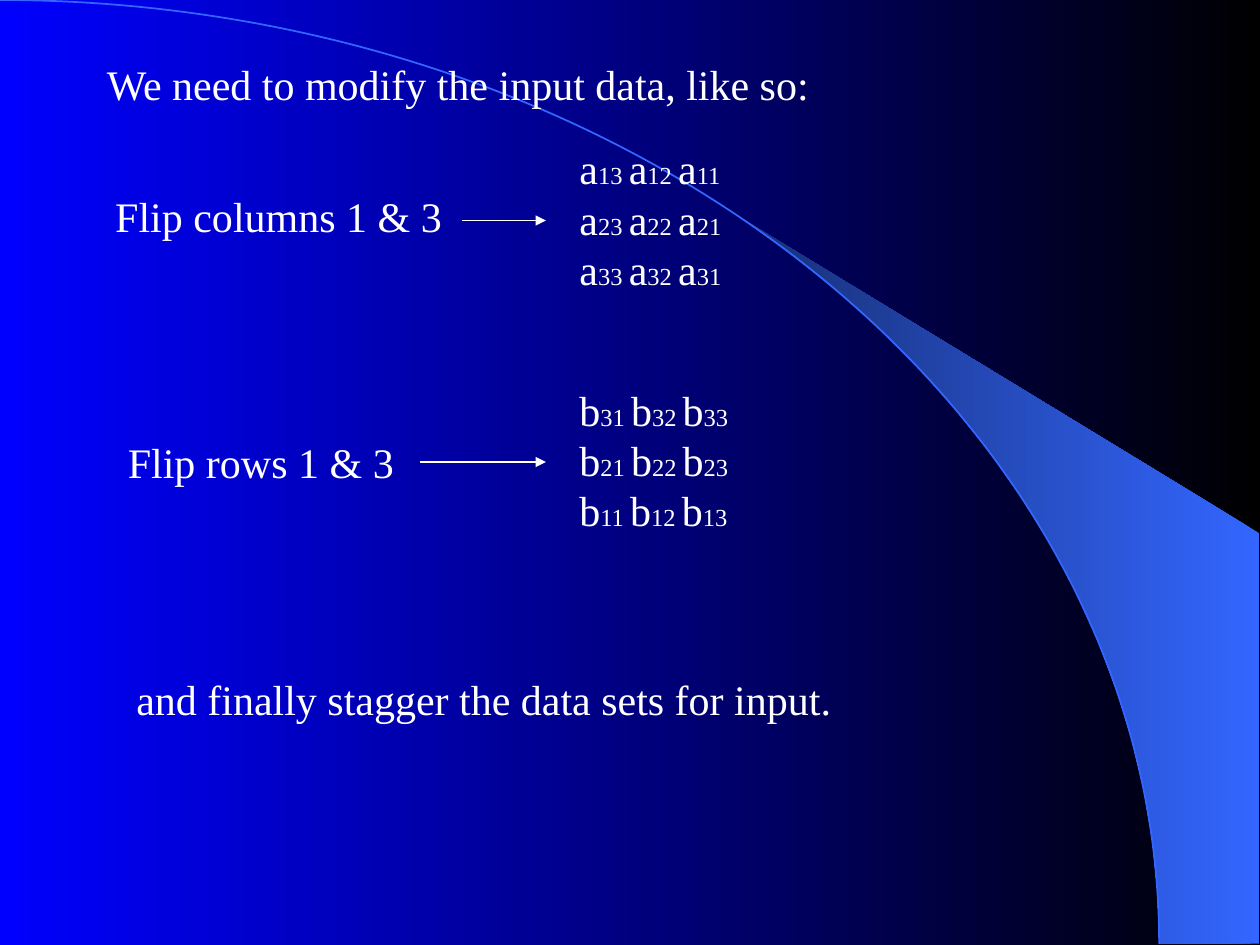
from dataclasses import dataclass
from math import cos, radians, sin

from lxml.etree import SubElement
from pptx import Presentation
from pptx.dml.color import RGBColor as Rgb
from pptx.enum.shapes import MSO_CONNECTOR as Connector, MSO_SHAPE as Shape
from pptx.enum.text import MSO_AUTO_SIZE as AutoSize
from pptx.oxml.ns import qn
from pptx.util import Inches, Pt


@dataclass(frozen=True)
class Theme:
    font: str = "Times New Roman"
    text: str = "FFFFFF"
    night: str = "000000"
    blue: str = "0000FF"
    accent: str = "3366FF"
    accent_dark: str = "172F75"
    body: float = 24
    index: float = 14
    arrow: float = 0.75
    arc: float = 1


THEME = Theme()
WIDTH, HEIGHT = Inches(10), Inches(7.5)
COLUMN, ROW = WIDTH / 120, HEIGHT / 90  # square grid cells


def grid(left, top, width, height):
    """Turn columns and rows into a box in slide units."""
    return [round(n * unit) for n, unit in
            zip((left, top, width, height), (COLUMN, ROW, COLUMN, ROW))]


def fill_gradient(fill, *colors):
    fill.gradient()
    fill.gradient_angle = 180
    for stop, color in zip(fill.gradient_stops, colors):
        stop.color.rgb = Rgb.from_string(color)
    fill.gradient_stops[0].position = 0
    fill.gradient_stops[1].position = 1


def add_span(para, text, size=THEME.body, color=THEME.text):
    span = para.add_run()
    span.text = text
    span.font.name = THEME.font
    span.font.size = Pt(size)
    span.font.color.rgb = Rgb.from_string(color)


def add_text_frame(page, box):
    frame = page.shapes.add_textbox(*box).text_frame
    frame.word_wrap = False
    frame.auto_size = AutoSize.SHAPE_TO_FIT_TEXT
    return frame


def add_sentence(page, box, text):
    add_span(add_text_frame(page, box).paragraphs[0], text)


def add_matrix(page, box, letter, rows):
    """Write a matrix of indexed letters, one paragraph per row."""
    frame = add_text_frame(page, box)
    for number, row in enumerate(rows):
        para = frame.add_paragraph() if number else frame.paragraphs[0]
        indices = row.split()
        for place, index in enumerate(indices, 1):
            add_span(para, letter)
            gap = " " if place < len(indices) else ""
            add_span(para, index + gap, size=THEME.index)


def add_arrow(page, box):
    left, top, width, height = box
    arrow = page.shapes.add_connector(
        Connector.STRAIGHT, left, top, left + width, top + height)
    arrow.line.color.rgb = Rgb.from_string(THEME.text)
    arrow.line.width = Pt(THEME.arrow)
    SubElement(arrow.line._get_or_add_ln(), qn("a:tailEnd"), type="triangle")
    SubElement(arrow._element.spPr, qn("a:effectLst"))


def add_backdrop(page, box):
    """Draw the quarter ellipse in the box and the beam beside it."""
    left, top, width, height = box
    fill_gradient(page.background.fill, THEME.night, THEME.blue)

    # Beam: straight outer edge, inner edge along the ellipse
    first, last, steps = 39.8, 90, 16
    angles = [radians(first + (last - first) * n / steps)
              for n in range(steps + 1)]
    curve = [(left + width * sin(a), top + height * (1 - cos(a)))
             for a in angles]
    right = WIDTH * 0.999
    builder = page.shapes.build_freeform(*curve[0])
    builder.add_line_segments(
        curve[1:] + [(right, top + height), (right, HEIGHT * 0.564)])
    beam = builder.convert_to_shape()
    beam.shadow.inherit = False
    fill_gradient(beam.fill, THEME.accent, THEME.accent_dark)
    beam.line.fill.background()

    # The arc preset shows the upper right quarter of its ellipse
    arc = page.shapes.add_shape(
        Shape.ARC, left - width, top, 2 * width, 2 * height)
    arc.shadow.inherit = False
    arc.fill.background()
    arc.line.color.rgb = Rgb.from_string(THEME.accent)
    arc.line.width = Pt(THEME.arc)


def add_step(page, top, label, label_box, arrow_left, letter, rows, width):
    """Place a label, an arrow and the resulting matrix in one band."""
    label_left, label_top, label_width = label_box
    arrow_end, matrix_left = 52, 54
    add_matrix(page, grid(matrix_left, top, width, 15.6), letter, rows)
    add_sentence(page, grid(label_left, top + label_top, label_width, 6), label)
    add_arrow(page, grid(arrow_left, top + 8, arrow_end - arrow_left, 0))


def main():
    deck = Presentation()
    deck.slide_width, deck.slide_height = WIDTH, HEIGHT
    page = deck.slides.add_slide(deck.slide_layouts[6])

    add_backdrop(page, grid(0, 0, 110.4, 89.88))

    # Opening sentence
    add_sentence(page, grid(9, 5, 70, 6),
                 "We need to modify the input data, like so:")

    # Two flips
    add_step(page, 13, "Flip columns 1 & 3", (9.8, 4.55, 34.8), 44,
             "a", ("13 12 11", "23 22 21", "33 32 31"), 16.2)
    add_step(page, 36, "Flip rows 1 & 3", (11, 5, 29), 40,
             "b", ("31 32 33", "21 22 23", "11 12 13"), 17)

    # Closing sentence
    add_sentence(page, grid(11.8, 63.6, 69, 6),
                 "and finally stagger the data sets for input.")

    deck.save("out.pptx")


if __name__ == "__main__":
    main()
